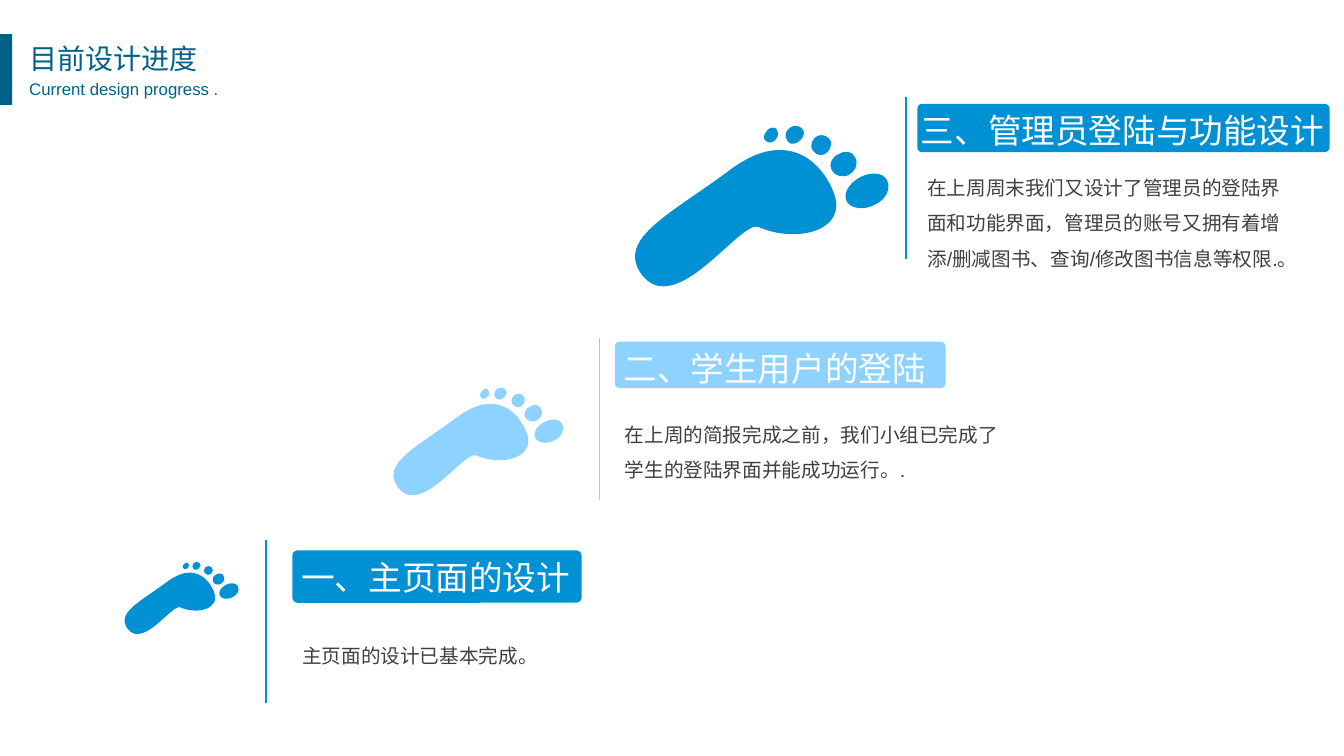
import dataclasses
import math

import pptx
import pptx.dml.color
import pptx.enum.shapes
import pptx.enum.text
import pptx.oxml.ns
import pptx.shapes.autoshape
import pptx.slide
import pptx.util
from lxml import etree

Point = tuple[float, float]
ALIGN = pptx.enum.text.PP_ALIGN
COLUMNS, ROWS = 133.33, 75  # grid of tenth-inch cells


@dataclasses.dataclass(frozen=True)
class Theme:
    navy: str = "006088"
    blue: str = "0091D4"
    sky: str = "8ED2FF"
    white: str = "FFFFFF"
    grey: str = "404040"
    latin: str = "Arial"
    label_latin: str = "Calibri"
    chinese: str = "Noto Sans CJK SC"
    title_size: float = 20
    subtitle_size: float = 12
    label_size: float = 24
    body_size: float = 14


THEME = Theme()


@dataclasses.dataclass(frozen=True)
class Box:
    left: float
    top: float
    width: float
    height: float


@dataclasses.dataclass(frozen=True)
class Step:
    label: str
    detail: str
    color: str
    foot_centre: Point
    foot_scale: float
    rule_start: Point
    label_box: Box
    label_inset: float
    detail_box: Box


STEPS = (
    Step("一、主页面的设计", "主页面的设计已基本完成。", THEME.blue, (16.5, 60.2), 0.45,
         (26.4, 53.6), Box(29, 54.6, 28.7, 5.2), 1, Box(29, 62.2, 39.4, 4.5)),
    Step("二、学生用户的登陆", "在上周的简报完成之前，我们小组已完成了学生的登陆界面并能成功运行。.",
         THEME.sky, (45.2, 45.1), 0.67,
         (59.5, 33.5), Box(61, 33.9, 32.8, 4.6), 1.8, Box(61, 40.3, 39.4, 11.6)),
    Step("三、管理员登陆与功能设计",
         "在上周周末我们又设计了管理员的登陆界面和功能界面，管理员的账号又拥有着增添/删减图书、查询/修改图书信息等权限.。",
         THEME.blue, (72.2, 22.4), 1,
         (89.9, 9.6), Box(91, 10.3, 40.9, 4.8), 0.4, Box(91, 15.8, 38.7, 11.6)),
)
RULE_LENGTH = 16.1

# Full-size footprint: a start point, then cubic curves of three points each
FOOT_ORIGIN: Point = (72.2, 22.4)
FOOT_TILT = 70.2
SOLE = ((75.2, 22.5), (73.3, 22), (67.1, 31.6), (63.7, 27.3), (61, 23.7), (66.5, 21.3),
        (72.5, 16.8), (77.9, 12.8), (81.4, 15.8), (82.7, 19.1), (84.2, 22.9), (79, 24.2), (75.2, 22.5))
TOES = (
    ((86.8, 20.3), (85.7, 20.9), (84.4, 20.7), (84, 20), (83.6, 19.2), (84.2, 18.2),
     (85.3, 17.6), (86.4, 17), (87.6, 17.1), (88, 17.9), (88.4, 18.7), (87.9, 19.8), (86.8, 20.3)),
    ((84.3, 17.3), (83.6, 17.7), (82.9, 17.5), (82.5, 16.9), (82.2, 16.3), (82.5, 15.6),
     (83.2, 15.3), (83.8, 14.9), (84.6, 15), (84.8, 15.6), (85.2, 16.2), (84.9, 16.9), (84.3, 17.3)),
    ((82.1, 15.1), (81.7, 15.5), (81, 15.5), (80.7, 15), (80.4, 14.8), (80.4, 14.1),
     (80.8, 13.7), (81.2, 13.3), (81.8, 13.3), (82.2, 13.7), (82.6, 14), (82.5, 14.6), (82.1, 15.1)),
    ((79.4, 13.9), (79, 14.3), (78.5, 14.4), (78.2, 14.1), (77.9, 13.7), (77.8, 13.2),
     (78.2, 12.8), (78.6, 12.4), (79.1, 12.4), (79.5, 12.7), (79.9, 13), (79.8, 13.5), (79.4, 13.9)),
    ((77, 13.8), (76.7, 14.1), (76.4, 14.3), (76, 14), (75.7, 13.8), (75.7, 13.4),
     (76, 13.1), (76.2, 12.7), (76.6, 12.6), (76.9, 12.7), (77.2, 12.9), (77.3, 13.4), (77, 13.8)),
)


def cells(count: float) -> pptx.util.Emu:
    return pptx.util.Inches(count / 10)


def rgb(color: str) -> pptx.dml.color.RGBColor:
    return pptx.dml.color.RGBColor.from_string(color)


def place(shape, box: Box) -> None:
    shape.left, shape.top = cells(box.left), cells(box.top)
    shape.width, shape.height = cells(box.width), cells(box.height)


def paint(shape: pptx.shapes.autoshape.Shape, color: str) -> None:
    shape.shadow.inherit = False
    shape.fill.solid()
    shape.fill.fore_color.rgb = rgb(color)
    shape.line.fill.background()


def write(shape, text: str, *, size: float, color: str, latin: str = THEME.latin,
          align: ALIGN = ALIGN.LEFT, spacing: float = 1, before: float = 0,
          insets: tuple[float, float, float, float] = (1, 0.5, 1, 0.5)) -> None:
    frame = shape.text_frame
    frame.word_wrap = True
    frame.auto_size = pptx.enum.text.MSO_AUTO_SIZE.NONE
    frame.vertical_anchor = pptx.enum.text.MSO_ANCHOR.TOP
    frame.margin_left, frame.margin_top, frame.margin_right, frame.margin_bottom = map(cells, insets)
    paragraph = frame.paragraphs[0]
    paragraph.alignment, paragraph.line_spacing = align, spacing
    paragraph.space_before = pptx.util.Pt(before)
    run = paragraph.add_run()
    run.text = text
    run.font.size, run.font.name = pptx.util.Pt(size), latin
    run.font.color.rgb = rgb(color)
    east_asian = etree.SubElement(run.font._element, pptx.oxml.ns.qn("a:ea"))
    east_asian.set("typeface", THEME.chinese)


def add_text(slide: pptx.slide.Slide, box: Box, text: str, **style) -> None:
    write(slide.shapes.add_textbox(*map(cells, dataclasses.astuple(box))), text, **style)


def curve_edges(part: pptx.shapes.autoshape.Shape) -> None:
    """Join every three straight segments into one cubic curve."""
    segments = list(part._element.iter(pptx.oxml.ns.qn("a:lnTo")))
    for start in range(0, len(segments), 3):
        curve = etree.Element(pptx.oxml.ns.qn("a:cubicBezTo"))
        segments[start].addprevious(curve)
        for segment in segments[start:start + 3]:
            curve.append(segment[0])
            segment.getparent().remove(segment)


def turn(point: Point, degrees: float) -> Point:
    cos, sin = math.cos(math.radians(degrees)), math.sin(math.radians(degrees))
    return point[0] * cos - point[1] * sin, point[0] * sin + point[1] * cos


def add_foot(slide: pptx.slide.Slide, step: Step) -> None:
    foot = slide.shapes.add_group_shape()
    for outline in (SOLE, *TOES):
        upright = [turn(((x - FOOT_ORIGIN[0]) * step.foot_scale, (y - FOOT_ORIGIN[1]) * step.foot_scale),
                        -FOOT_TILT) for x, y in outline]
        xs, ys = zip(*upright)
        middle = ((min(xs) + max(xs)) / 2, (min(ys) + max(ys)) / 2)
        tilted = turn(middle, FOOT_TILT)
        shift_x = step.foot_centre[0] + tilted[0] - middle[0]
        shift_y = step.foot_centre[1] + tilted[1] - middle[1]
        edge = [(cells(x + shift_x), cells(y + shift_y)) for x, y in upright]
        builder = foot.shapes.build_freeform(*edge[0])
        builder.add_line_segments(edge[1:], close=True)
        part = builder.convert_to_shape()
        curve_edges(part)
        part.rotation = FOOT_TILT
        paint(part, step.color)


def add_rule(slide: pptx.slide.Slide, step: Step) -> None:
    x, y = step.rule_start
    rule = slide.shapes.add_connector(pptx.enum.shapes.MSO_CONNECTOR.STRAIGHT,
                                      cells(x), cells(y), cells(x), cells(y + RULE_LENGTH))
    rule.line.color.rgb = rgb(step.color)
    rule.line.width = pptx.util.Pt(1)
    etree.SubElement(rule._element.spPr, pptx.oxml.ns.qn("a:effectLst"))


def add_bar(slide: pptx.slide.Slide, kind: pptx.enum.shapes.MSO_SHAPE, box: Box,
            color: str) -> pptx.shapes.autoshape.Shape:
    bar = slide.shapes.add_shape(kind, *map(cells, dataclasses.astuple(box)))
    paint(bar, color)
    return bar


def add_step(slide: pptx.slide.Slide, step: Step) -> None:
    add_foot(slide, step)
    add_rule(slide, step)
    label = add_bar(slide, pptx.enum.shapes.MSO_SHAPE.ROUNDED_RECTANGLE, step.label_box, step.color)
    label.adjustments[0] = 0.1
    write(label, step.label, size=THEME.label_size, color=THEME.white, latin=THEME.label_latin,
          align=ALIGN.RIGHT, insets=(0, 0.5, step.label_inset, 0))
    add_text(slide, step.detail_box, step.detail, size=THEME.body_size, color=THEME.grey, spacing=1.5)


def main() -> None:
    deck = pptx.Presentation()
    deck.slide_width, deck.slide_height = cells(COLUMNS), cells(ROWS)
    slide = deck.slides.add_slide(deck.slide_layouts[5])

    # Heading
    place(slide.shapes.title, Box(1.9, 3.6, 25.9, 4.4))
    write(slide.shapes.title, "目前设计进度", size=THEME.title_size, color=THEME.navy, latin=THEME.chinese)
    add_text(slide, Box(2.5, 7, 24.7, 3.3), "Current design progress .", size=THEME.subtitle_size,
             color=THEME.navy, align=ALIGN.JUSTIFY, spacing=1.2, before=2.4, insets=(0.4, 0.4, 0.4, 0.4))
    add_bar(slide, pptx.enum.shapes.MSO_SHAPE.RECTANGLE, Box(0, 3.4, 1.2, 7), THEME.navy)

    # Progress steps, from the first to the latest
    for step in STEPS:
        add_step(slide, step)

    deck.save("out.pptx")


if __name__ == "__main__":
    main()
